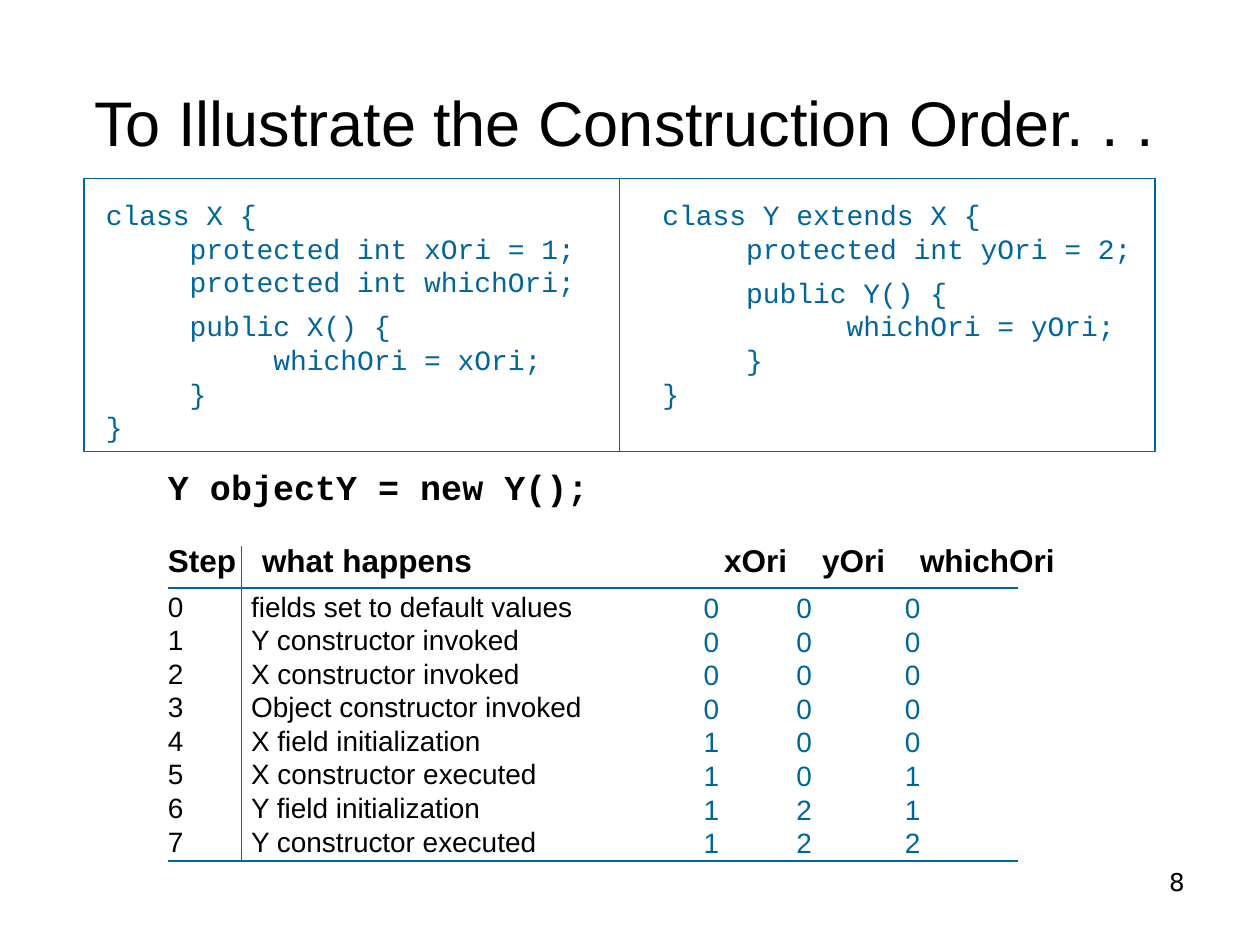
from pptx import Presentation
from pptx.dml.color import RGBColor
from pptx.enum.shapes import MSO_CONNECTOR, MSO_SHAPE
from pptx.enum.text import MSO_ANCHOR, PP_ALIGN
from pptx.oxml.ns import qn
from pptx.util import Pt
from lxml import etree

BLACK = RGBColor(0x00, 0x00, 0x00)
BLUE = RGBColor(0x00, 0x66, 0x99)
STRAIGHT = MSO_CONNECTOR.STRAIGHT
RECTANGLE = MSO_SHAPE.RECTANGLE
TOP, MIDDLE = MSO_ANCHOR.TOP, MSO_ANCHOR.MIDDLE
LEFT, CENTER, RIGHT = PP_ALIGN.LEFT, PP_ALIGN.CENTER, PP_ALIGN.RIGHT

TITLE = {"name": "Arial", "size": Pt(36), "color": BLACK}
CODE = {"name": "Courier New", "size": Pt(16), "color": BLUE}
CALL = {"name": "Courier New", "size": Pt(20), "color": BLACK, "bold": True}
HEADER = {"name": "Arial", "size": Pt(18), "color": BLACK, "bold": True}
STEP = {"name": "Arial", "size": Pt(16), "color": BLACK}
VALUE = {"name": "Arial", "size": Pt(16), "color": BLUE}
PAGE = {"name": "DejaVu Sans", "size": Pt(14), "color": BLACK}

LINE_FACTOR = 1.2
STEP_INDENT = 47.5

prs = Presentation()
prs.slide_width, prs.slide_height = Pt(720), Pt(540)
slide = prs.slides.add_slide(prs.slide_layouts[6])


def add_text(box, lines, anchor=TOP, align=LEFT, spacing=None, margins=(0, 0), wrap=True):
    frame = slide.shapes.add_textbox(*map(Pt, box)).text_frame
    side, edge = map(Pt, margins)
    settings = {"word_wrap": wrap, "vertical_anchor": anchor,
                "margin_left": side, "margin_right": side,
                "margin_top": edge, "margin_bottom": edge}
    for key, value in settings.items():
        setattr(frame, key, value)
    for index, (text, style, before, tabs, numbered) in enumerate(lines):
        paragraph = frame.paragraphs[0] if index == 0 else frame.add_paragraph()
        paragraph.alignment = align
        paragraph.line_spacing = spacing or Pt(style["size"].pt * LINE_FACTOR)
        paragraph.space_before = Pt(before)
        props = paragraph._p.get_or_add_pPr()
        if numbered is not None:
            props.set("marL", str(Pt(STEP_INDENT)))
            props.set("indent", str(-Pt(STEP_INDENT)))
            if numbered:
                etree.SubElement(props, qn("a:buFont"), typeface="Arial")
                etree.SubElement(props, qn("a:buAutoNum"), type="arabicPlain")
        if tabs:
            stops = etree.SubElement(props, qn("a:tabLst"))
            for stop in tabs:
                etree.SubElement(stops, qn("a:tab"), pos=str(Pt(stop)), algn="l")
        run = paragraph.add_run()
        run.text = text
        for key, value in style.items():
            if key == "color":
                run.font.color.rgb = value
            else:
                setattr(run.font, key, value)


def add_rule(x1, y1, x2, y2):
    rule = slide.shapes.add_connector(STRAIGHT, Pt(x1), Pt(y1), Pt(x2), Pt(y2))
    rule.line.color.rgb = BLUE
    rule.line.width = Pt(0.75)
    etree.SubElement(rule._element.spPr, qn("a:effectLst"))
    return rule


add_text((30, 32.5, 654, 79), [("To Illustrate the Construction Order. . .", TITLE, 0, (), None)],
         anchor=MIDDLE, align=CENTER, spacing=0.9, margins=(7.2, 3.6))

steps = ["Y constructor invoked", "X constructor invoked", "Object constructor invoked",
         "X field initialization", "X constructor executed", "Y field initialization",
         "Y constructor executed"]
trace = [
    ("Y objectY = new Y();", CALL, 0, (), None),
    ("Step\twhat happens\txOri\tyOri\twhichOri", HEADER, 19, (53.75, 317.75, 373.75, 429.75), None),
    ("0\tfields set to default values", STEP, 6, (), False),
]
trace += [(step, STEP, 0, (), True) for step in steps]
add_text((96, 266, 512, 230), trace)

field_values = [(0, 0, 0)] * 4 + [(1, 0, 0), (1, 0, 1), (1, 2, 1), (1, 2, 2)]
add_text((402, 337.5, 162, 153.5),
         [("\t".join(map(str, row)), VALUE, 0, (53, 115), None) for row in field_values])

for rule_ends in [(96, 336, 582, 336), (138, 312, 138, 492), (96, 492, 582, 492)]:
    add_rule(*rule_ends)

class_x = """class X {
     protected int xOri = 1;
     protected int whichOri;
     public X() {
          whichOri = xOri;
     }
}"""
class_y = """class Y extends X {
     protected int yOri = 2;
     public Y() {
           whichOri = yOri;
     }
}"""
for left, source in [(60.5, class_x), (378.5, class_y)]:
    code = [(line, CODE, 6 if "public" in line else 0, (), None) for line in source.split("\n")]
    add_text((left, 113, 268.5, 140), code, wrap=False)

code_frame = slide.shapes.add_shape(RECTANGLE, Pt(48), Pt(102), Pt(612), Pt(156))
code_frame.shadow.inherit = False
code_frame.fill.background()
code_frame.line.color.rgb = BLUE
code_frame.line.width = Pt(0.75)
divider = add_rule(354, 102, 354, 258)
divider.begin_connect(code_frame, 0)
divider.end_connect(code_frame, 2)

add_text((516, 492, 168, 36), [("8", PAGE, 0, (), None)],
         align=RIGHT, spacing=1.0, margins=(7.2, 3.6))

prs.save("out.pptx")
